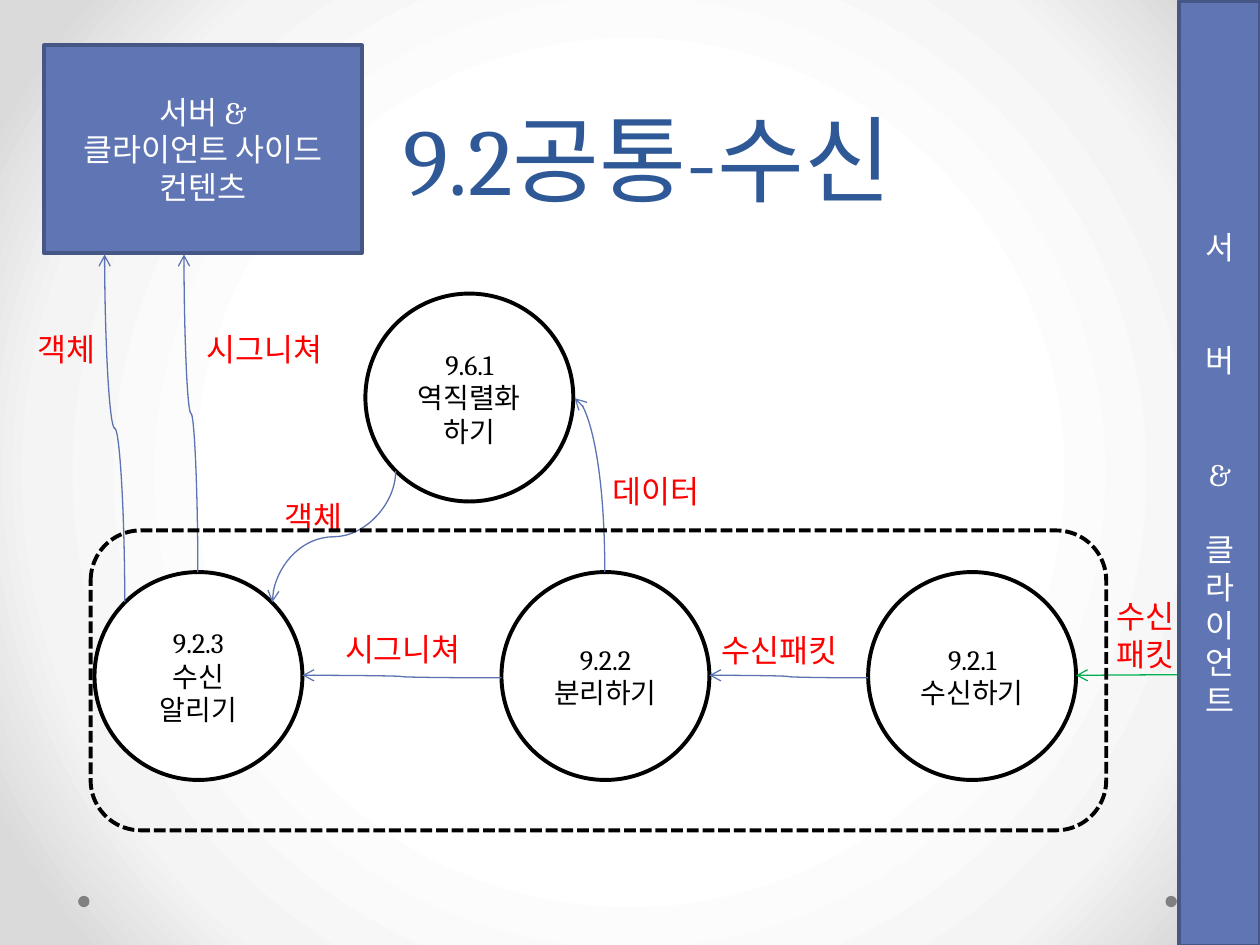
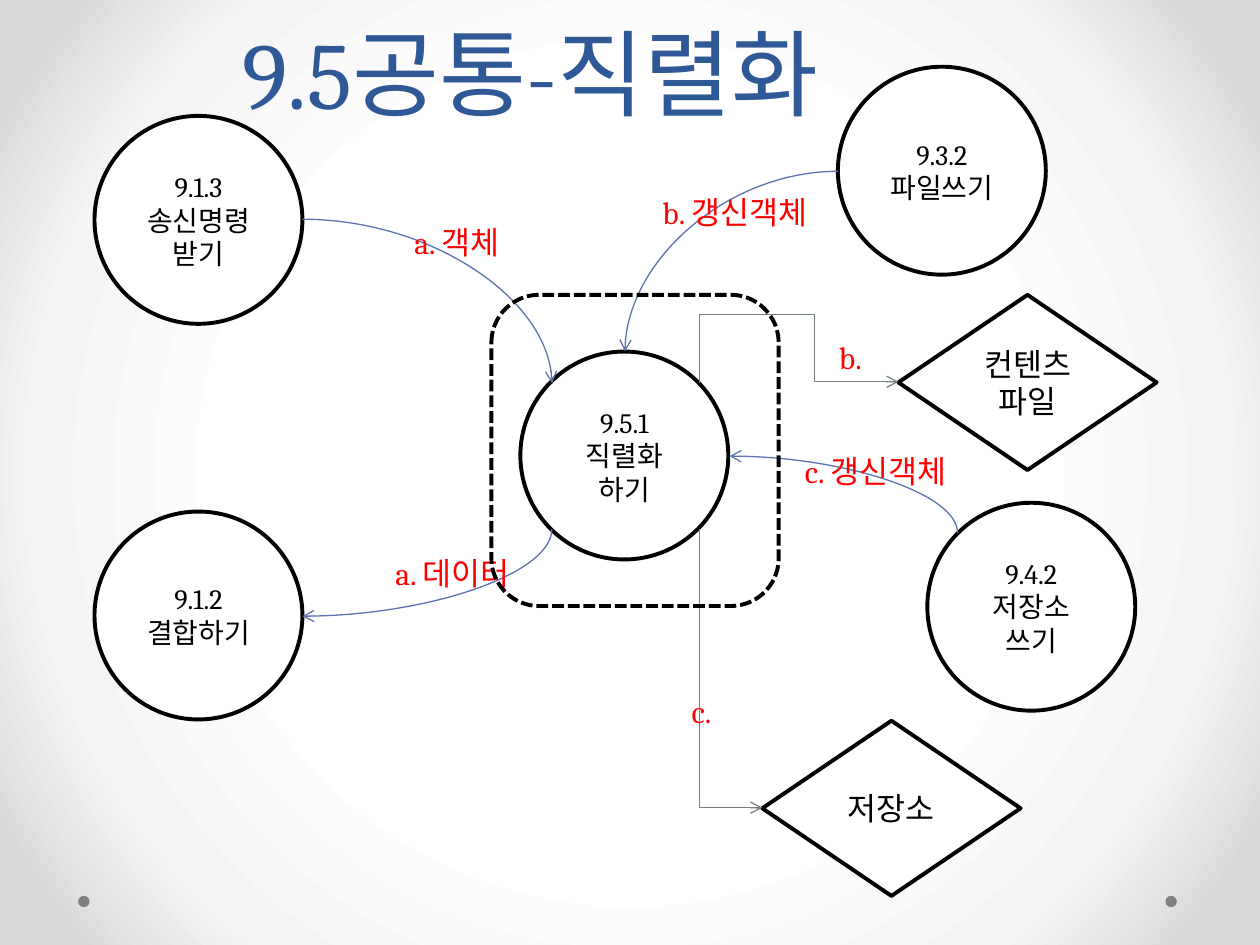
"""Builds two data flow slides: receiving and serializing."""
from pptx import Presentation
from pptx import oxml, util as u
from pptx.dml.color import RGBColor
from pptx.enum import dml, shapes, text
from pptx.oxml import ns

HUES = {
    "title": "2F5897", "box": "6076B4", "edge": "475785", "flow": "5C72B2",
    "store": "758085", "input": "00B050", "label": "FF0000", "dot": "808080",
    "ink": "000000", "paper": "FFFFFF", "mist": "F4F4F4", "rim": "DADADA",
}
FONT = "Cambria"
DISC = 1.65
KIND = shapes.MSO_SHAPE
LINK = shapes.MSO_CONNECTOR
MID = text.MSO_ANCHOR.MIDDLE
CENTER = text.PP_ALIGN.CENTER


def hue(name):
    """Return the named colour."""
    return RGBColor.from_string(HUES[name])


class Deck:
    """Holds the style and the current slide."""

    def __init__(self):
        self.prs = Presentation()
        self.prs.slide_width = u.Inches(10)
        self.prs.slide_height = u.Inches(7.5)
        self.slide = None

    def page(self, title, left, height):
        """Start a slide with backdrop, footer dots and title."""
        self.slide = self.prs.slides.add_slide(self.prs.slide_layouts[6])
        self.back()
        for x in (9.25, 0.62):
            self.shape(KIND.OVAL, (x, 7.11, 0.09, 0.09), "dot")
        box = self.slide.shapes.add_textbox(
            *map(u.Inches, (left, 0, 9, height)))
        self.words(box, title, 54, "title", text.MSO_ANCHOR.BOTTOM, CENTER)
        box.text_frame.paragraphs[0].line_spacing = u.Pt(58)

    def back(self):
        """Give the slide its round gradient."""
        stops = "".join(
            f'<a:gs pos="{pos}000"><a:srgbClr val="{HUES[name]}"/></a:gs>'
            for pos, name in ((50, "paper"), (76, "mist"), (92, "rim")))
        self.slide.element.cSld.insert(0, oxml.parse_xml(
            f'<p:bg {ns.nsdecls("p", "a")}><p:bgPr><a:gradFill>'
            f'<a:gsLst>{stops}</a:gsLst><a:path path="circle">'
            '<a:fillToRect l="50000" t="50000" r="50000" b="50000"/>'
            '</a:path></a:gradFill><a:effectLst/></p:bgPr></p:bg>'))

    def words(self, item, copy, size, tone, anchor, align):
        """Put text into a shape, one paragraph a line."""
        frame = item.text_frame
        frame.word_wrap = True
        frame.vertical_anchor = anchor
        frame.text = copy
        for para in frame.paragraphs:
            para.alignment = align
            for run in para.runs:
                run.font.name = FONT
                run.font.size = u.Pt(size)
                run.font.color.rgb = hue(tone)

    def shape(self, kind, at, fill=None, edge=None):
        """Draw a preset shape."""
        item = self.slide.shapes.add_shape(kind, *map(u.Inches, at))
        item.shadow.inherit = False
        if fill:
            item.fill.solid()
            item.fill.fore_color.rgb = hue(fill)
        else:
            item.fill.background()
        if edge:
            item.line.color.rgb = hue(edge)
            item.line.width = u.Pt(2.25)
        else:
            item.line.fill.background()
        return item

    def disc(self, x, y, copy):
        """Draw a process circle."""
        item = self.shape(KIND.OVAL, (x, y, DISC, DISC), "paper", "ink")
        self.words(item, copy, 16, "ink", MID, CENTER)
        frame = item.text_frame
        frame.margin_left = frame.margin_right = u.Inches(0.04)
        frame.margin_top = frame.margin_bottom = u.Inches(0.04)

    def store(self, x, y, copy):
        """Draw a data store diamond."""
        item = self.shape(KIND.FLOWCHART_DECISION, (x, y, 2.05, 1.39),
                          "paper", "ink")
        self.words(item, copy, 18, "ink", MID, CENTER)

    def block(self, at, copy):
        """Draw a blue box for an outside party."""
        item = self.shape(KIND.RECTANGLE, at, "box", "edge")
        self.words(item, copy, 18, "paper", MID, CENTER)
        return item

    def scope(self, *at):
        """Draw a dashed frame around a group."""
        item = self.shape(KIND.ROUNDED_RECTANGLE, at, None, "ink")
        item.line.dash_style = dml.MSO_LINE.SQUARE_DOT

    def label(self, x, y, wide, copy, high=0.4):
        """Name a flow in red."""
        box = self.slide.shapes.add_textbox(
            *map(u.Inches, (x, y, wide, high)))
        self.words(box, copy, 18, "label", text.MSO_ANCHOR.TOP,
                   text.PP_ALIGN.LEFT)

    def arrow(self, start, end, preset="curvedConnector2", tone="flow",
              turn=False, bends=()):
        """Link two points; with turn the route leaves vertically."""
        (x1, y1), (x2, y2) = start, end
        spin = 0
        if turn:
            spin = 90 if y2 > y1 else 270
            sign = 1 if spin == 90 else -1
            mx, my = (x1 + x2) / 2, (y1 + y2) / 2
            dx, dy = abs(y2 - y1) / 2, sign * (x1 - x2) / 2
            x1, y1, x2, y2 = mx - dx, my - dy, mx + dx, my + dy
        kind = LINK.STRAIGHT if preset == "line" else LINK.CURVE
        item = self.slide.shapes.add_connector(
            kind, *map(u.Inches, (x1, y1, x2, y2)))
        item.line.color.rgb = hue(tone)
        item.line.width = u.Pt(0.75)
        props = item.element.spPr
        if spin:
            props.find(ns.qn("a:xfrm")).set("rot", str(spin * 60000))
        form = props.find(ns.qn("a:prstGeom"))
        form.set("prst", preset)
        guides = form.find(ns.qn("a:avLst"))
        for i, bend in enumerate(bends, 1):
            guides.append(oxml.parse_xml(
                f'<a:gd {ns.nsdecls("a")} name="adj{i}" '
                f'fmla="val {round(bend * 100000)}"/>'))
        props.find(ns.qn("a:ln")).append(oxml.parse_xml(
            f'<a:tailEnd {ns.nsdecls("a")} type="arrow"/>'))
        props.append(oxml.parse_xml(f'<a:effectLst {ns.nsdecls("a")}/>'))


def receive(deck):
    """Build the receiving slide."""
    deck.page("9.2공통-수신", 0.64, 1.75)
    for x, y, copy in (
            (0.75, 4.54, "9.2.3\n수신\n알리기"),
            (3.98, 4.54, "9.2.2\n분리하기"),
            (6.89, 4.54, "9.2.1\n수신하기"),
            (2.9, 2.33, "9.6.1\n역직렬화\n하기")):
        deck.disc(x, y, copy)
    deck.block((0.35, 0.36, 2.52, 1.65), "서버 &\n클라이언트 사이드\n컨텐츠")
    deck.arrow((10, 5.35), (8.54, 5.36), "line", "input")
    wave = "curvedConnector3"
    for start, end in (((6.89, 5.38), (5.63, 5.36)),
                       ((3.98, 5.38), (2.4, 5.36))):
        deck.arrow(start, end, wave)
    deck.arrow((4.8, 4.54), (4.56, 3.16), turn=True)
    for start, end in (((3.14, 3.74), (2.16, 4.78)),
                       ((0.99, 4.78), (0.83, 2.02)),
                       ((1.57, 4.54), (1.46, 2.02))):
        deck.arrow(start, end, wave, turn=True)
    for x, y, wide, copy in (
            (5.63, 4.96, 1.5, "수신패킷"), (4.76, 3.7, 1.06, "데이터"),
            (2.64, 4.95, 1.3, "시그니쳐"), (2.16, 3.9, 0.77, "객체"),
            (0.2, 2.57, 0.77, "객체"), (1.54, 2.57, 1.3, "시그니쳐")):
        deck.label(x, y, wide, copy)
    deck.scope(0.72, 4.21, 8.06, 2.38)
    bar = deck.block((9.36, 0.01, 0.64, 7.5), "\n".join("서버&클라이언트"))
    for i, gap in ((1, 43), (2, 43), (3, 21.5)):
        bar.text_frame.paragraphs[i].space_before = u.Pt(gap)
    deck.label(8.76, 4.69, 1.18, "수신\n패킷", 0.71)


def pack(deck):
    """Build the serializing slide."""
    deck.page("9.5공통-직렬화", -0.29, 1.07)
    for x, y, copy in (
            (4.13, 2.79, "9.5.1\n직렬화\n하기"),
            (0.75, 0.92, "9.1.3\n송신명령\n받기"),
            (0.75, 4.06, "9.1.2\n결합하기"),
            (6.65, 0.53, "9.3.2\n파일쓰기"),
            (7.36, 3.99, "9.4.2\n저장소\n쓰기")):
        deck.disc(x, y, copy)
    deck.store(7.13, 2.34, "컨텐츠\n파일")
    deck.store(6.05, 5.72, "저장소")
    for start, end, turn in (
            ((2.4, 1.74), (4.38, 3.04), False),
            ((4.38, 4.2), (2.4, 4.89), True),
            ((6.65, 1.36), (4.96, 2.79), False),
            ((7.6, 4.23), (5.79, 3.62), True)):
        deck.arrow(start, end, turn=turn)
    deck.arrow((5.55, 3.04), (7.13, 3.03), "bentConnector4", "store", True,
               (55, 0.58))
    deck.arrow((5.55, 4.2), (6.05, 6.41), "bentConnector2", "store", True)
    for x, y, wide, copy in (
            (5.16, 1.48, 1.5, "b. 갱신객체"), (6.29, 3.54, 1.56, "c. 갱신객체"),
            (3.19, 1.72, 1.02, "a. 객체"), (3.04, 4.35, 1.33, "a. 데이터"),
            (6.56, 2.63, 1.02, "b."), (5.39, 5.44, 1.02, "c.")):
        deck.label(x, y, wide, copy)
    deck.scope(3.9, 2.34, 2.28, 2.47)


deck = Deck()
receive(deck)
pack(deck)
deck.prs.save("out.pptx")
